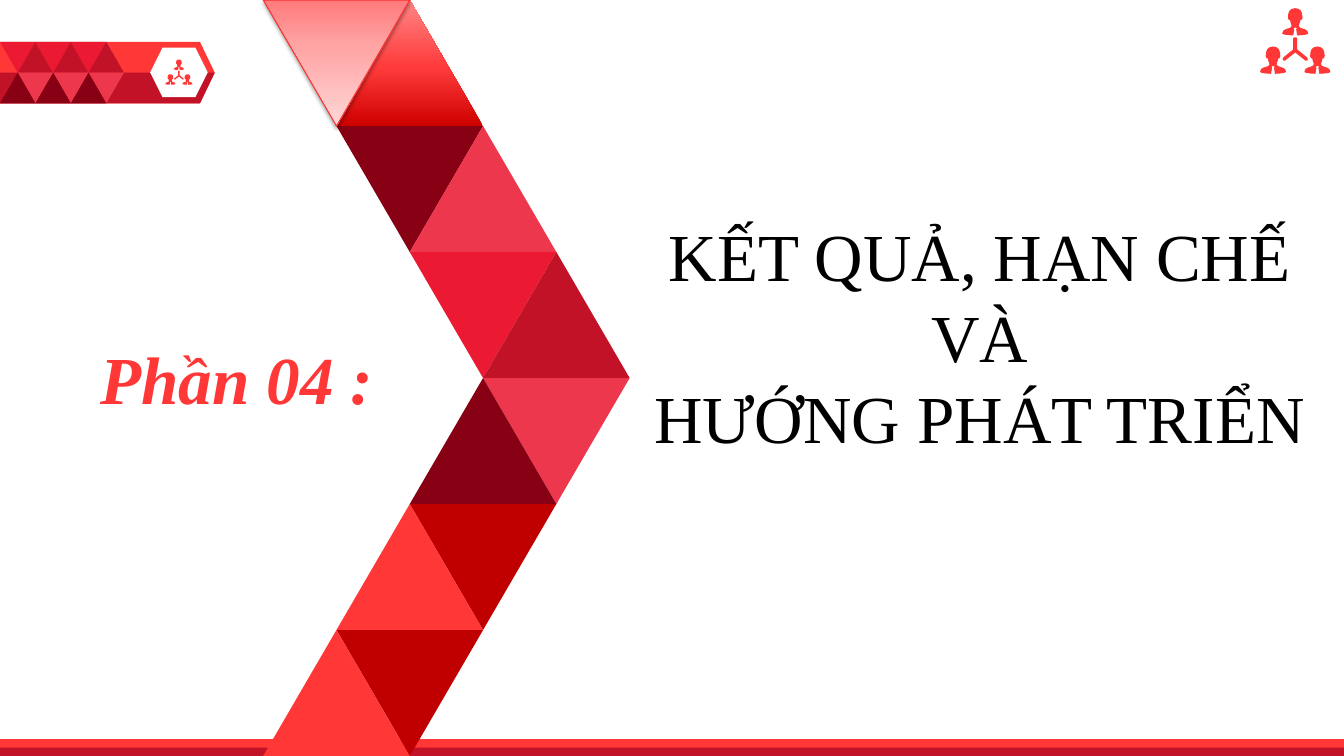
from lxml import etree
from pptx import Presentation
from pptx.dml.color import RGBColor
from pptx.enum import shapes as kinds, text
from pptx.oxml import ns
from pptx.util import Pt

RED, CRIMSON, SCARLET = "FF3737", "C21227", "EB1932"
ROSE, MAROON, BRICK = "ED374D", "880014", "C00000"
FONT = "Times New Roman"
PRESET = kinds.MSO_SHAPE


def paint(shape, colour):
    shape.shadow.inherit = False
    shape.fill.solid()
    shape.fill.fore_color.rgb = RGBColor.from_string(colour)
    shape.line.fill.background()


def add_block(preset, left, top, width, height, colour):
    block = slide.shapes.add_shape(preset, Pt(left), Pt(top), Pt(width), Pt(height))
    paint(block, colour)
    return block


deck = Presentation()
deck.slide_width, deck.slide_height = Pt(960), Pt(540)
slide = deck.slides.add_slide(deck.slide_layouts[5])

# Banner at top left
banner = add_block(PRESET.PENTAGON, 0, 30, 153.4, 43.8, RED)
banner.adjustments[0] = 0.24
outline = slide.shapes.build_freeform(Pt(0), Pt(51.9), scale=1.0)
outline.add_line_segments([(Pt(x), Pt(y)) for x, y in
                           [(153.4, 51.9), (142.8, 73.8), (0, 73.8)]])
paint(outline.convert_to_shape(), CRIMSON)
badge = add_block(PRESET.HEXAGON, 107.2, 34, 41.2, 35.4, "FFFFFF")
badge.adjustments[0] = 0.25

# Banner mosaic: (half-tile offset, row, rotation, colour), repeated three times
HALF, ROW = 12.65, 21.9
for pair in range(3):
    for offset, row, turn, colour in [(0, 0, 180, SCARLET), (1, 0, 0, CRIMSON),
                                      (1, 1, 180, ROSE), (0, 1, 0, MAROON)]:
        tile = add_block(PRESET.ISOSCELES_TRIANGLE, (2 * pair + offset) * HALF,
                         30 + row * ROW, 2 * HALF, ROW, colour)
        tile.rotation = turn

# Bottom stripes
add_block(PRESET.RECTANGLE, 0, 528, 960, 12, RED)
add_block(PRESET.RECTANGLE, 0, 534, 960, 6, CRIMSON)

# Large chevron: (column, row, rotation, colour or gradient stops)
GLOW = [(0, "CF0000"), (48, "FF3C3C"), (100, "FF8787")]
BLUSH = [(0, "FF7A7B"), (35, "FFA3A3"), (100, "FFD6D6")]
CHEVRON = [(1, 0, 0, GLOW), (1, 1, 180, MAROON), (0, 0, 180, BLUSH),
           (2, 1, 0, ROSE), (2, 2, 180, SCARLET), (3, 2, 0, CRIMSON),
           (3, 3, 180, ROSE), (2, 3, 0, MAROON), (2, 4, 180, BRICK),
           (1, 4, 0, RED), (1, 5, 180, BRICK), (0, 5, 0, RED)]
STEP, TILE_HEIGHT = 52.35, 90
for column, row, turn, colour in CHEVRON:
    graded = isinstance(colour, list)
    tile = add_block(PRESET.ISOSCELES_TRIANGLE, 188 + column * STEP, row * TILE_HEIGHT,
                     2 * STEP, TILE_HEIGHT, RED if graded else colour)
    tile.rotation = turn
    if graded:
        tile.fill.gradient()
        tile.fill.gradient_angle = 90
        stops = tile.element.spPr.find(ns.qn("a:gradFill")).find(ns.qn("a:gsLst"))
        for stop in list(stops):
            stops.remove(stop)
        for place, shade in colour:
            stop = etree.SubElement(stops, ns.qn("a:gs"), pos=str(place * 1000))
            etree.SubElement(stop, ns.qn("a:srgbClr"), val=shade)
    if colour is BLUSH:
        tile.line.color.rgb = RGBColor.from_string("FD3030")
        tile.line.width = Pt(0.75)
        effects = tile.element.spPr.find(ns.qn("a:effectLst"))
        shadow = etree.SubElement(effects, ns.qn("a:outerShdw"), blurRad=str(Pt(3.1)),
                                  dist=str(Pt(1.6)), dir="5400000", rotWithShape="0")
        tint = etree.SubElement(shadow, ns.qn("a:srgbClr"), val="000000")
        etree.SubElement(tint, ns.qn("a:alpha"), val="37000")

# Team icons: right halves of the outlines, mirrored about the centre line
PERSON = [(0, 0), (2.6, .6), (4.2, 2), (5, 4.3), (5, 5.8), (5.3, 6.5), (5, 7.6),
          (4.5, 8.4), (3.6, 8.7), (3.4, 10.2), (2.8, 11.6), (2.6, 13), (3.6, 14),
          (5, 14.5), (7.2, 15.2), (8.6, 16.2), (9.3, 18.2), (7.9, 18.9), (5, 19.3),
          (1.4, 19.5), (.7, 15.2), (1.2, 14.7), (.9, 14.3), (0, 13.7)]
LINKS = [(.7, 20.9), (1.4, 21.6), (1.4, 29.5), (8.6, 35.3), (9, 36.7), (8.2, 37.5),
         (7.2, 37.4), (0, 31.7)]
PARTS = [(PERSON, 0, 0), (PERSON, -15.85, 27.4), (PERSON, 15.85, 27.4), (LINKS, 0, 0)]
for centre, top, size in [(127.8, 42.5, 0.385), (925.2, 5.8, 1)]:
    icon = None
    for half, dx, dy in PARTS:
        contour = half + [(-x, y) for x, y in reversed(half)]
        points = [(Pt(centre + (x + dx) * size), Pt(top + (y + dy) * size))
                  for x, y in contour]
        if icon is None:
            icon = slide.shapes.build_freeform(*points[0], scale=1.0)
        else:
            icon.move_to(*points[0])
        icon.add_line_segments(points[1:])
    paint(icon.convert_to_shape(), RED)

# Section number and title
section = slide.shapes.add_textbox(Pt(64.8), Pt(237.6), Pt(296.6), Pt(64.8))
title = slide.shapes.title
title.left, title.top, title.width, title.height = Pt(447.8), Pt(149.8), Pt(504), Pt(181.4)
for holder, lines, colour, strong, align in [
        (section, ["Phần 04 :"], RED, True, text.PP_ALIGN.LEFT),
        (title, ["KẾT QUẢ, HẠN CHẾ VÀ", "HƯỚNG PHÁT TRIỂN"], "000000", False,
         text.PP_ALIGN.CENTER)]:
    frame = holder.text_frame
    frame.word_wrap = True
    frame.auto_size = text.MSO_AUTO_SIZE.NONE
    frame.vertical_anchor = text.MSO_ANCHOR.TOP
    for number, line in enumerate(lines):
        paragraph = frame.add_paragraph() if number else frame.paragraphs[0]
        paragraph.alignment = align
        run = paragraph.add_run()
        run.text = line
        run.font.name, run.font.size = FONT, Pt(48)
        run.font.bold = run.font.italic = strong
        run.font.color.rgb = RGBColor.from_string(colour)

deck.save("out.pptx")
